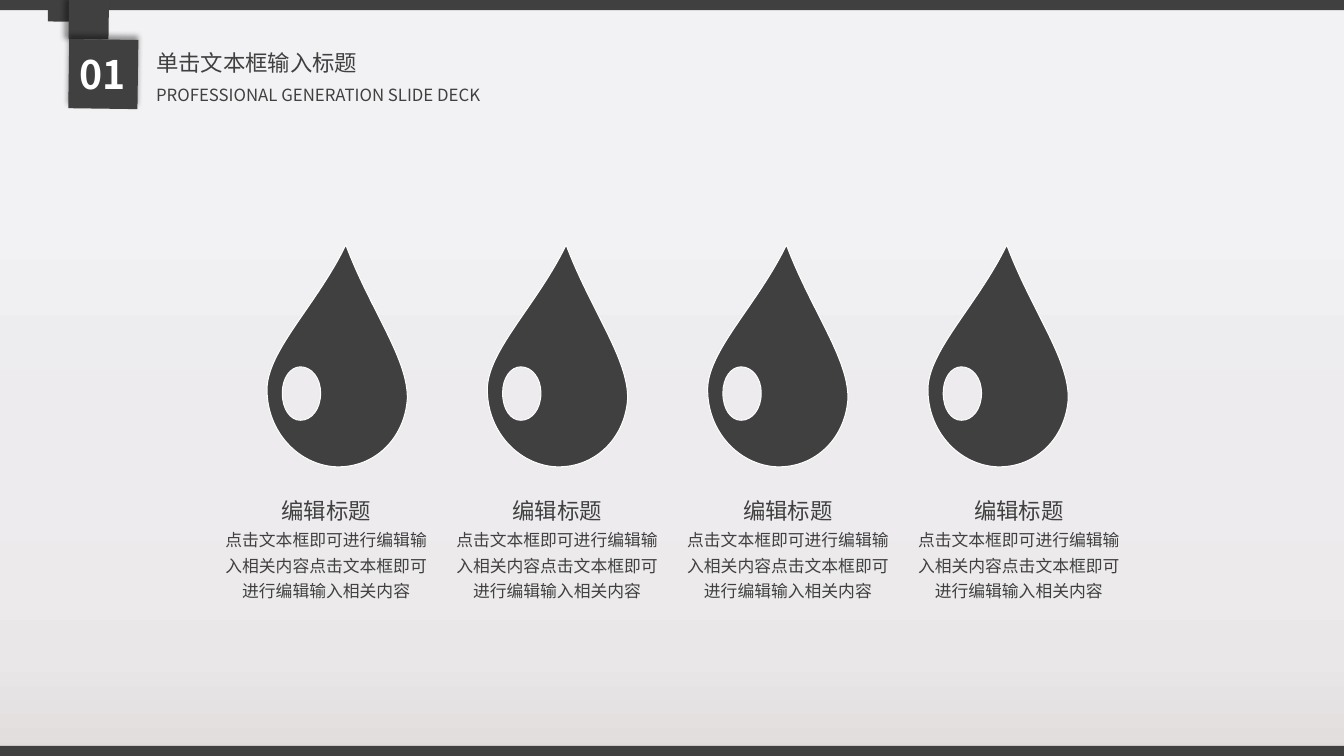
from dataclasses import dataclass

from lxml import etree
from pptx import Presentation
from pptx import util as u
from pptx.dml.color import RGBColor
from pptx.enum import shapes, text
from pptx.oxml.ns import qn


@dataclass(frozen=True)
class Theme:
    dark: str = "404040"
    white: str = "FFFFFF"
    shadow: str = "000000"
    font: str = "Noto Sans CJK SC"
    number: int = 28
    heading: int = 16
    body: int = 12
    # Background stops: percent from the bottom edge, colour
    gradient: tuple = ((0, "E0DCDB"), (13, "E9E7E8"), (23, "ECEAEB"),
                       (34, "EDEBEE"), (51, "EDEDEF"), (73, "F2F2F4"))


# Drop contours in inches: a start point, then three points per Bezier curve
DROP = [
    [(3.43, 2.43), (3.15, 3.01), (2.68, 3.45), (2.65, 3.83),
     (2.63, 4.24), (2.92, 4.59), (3.3, 4.63),
     (3.69, 4.66), (4.01, 4.37), (4.04, 3.96),
     (4.05, 3.56), (3.67, 3.07), (3.43, 2.43)],
    [(2.98, 4.17), (2.88, 4.17), (2.8, 4.06), (2.8, 3.9),
     (2.8, 3.75), (2.88, 3.64), (2.98, 3.64),
     (3.09, 3.64), (3.18, 3.75), (3.18, 3.9),
     (3.18, 4.06), (3.09, 4.17), (2.98, 4.17)],
]
DROP_STEP = 2.185
TEXT_STEP = 2.29


def sub(parent, tag, **attrs):
    return etree.SubElement(parent, qn(tag), {k: str(v) for k, v in attrs.items()})


class Builder:
    def __init__(self, slide, theme):
        self.s = slide
        self.t = theme

    def background(self):
        fill = self.s.background.fill
        fill.gradient()
        grad = self.s.background._cSld.find(".//" + qn("a:gradFill"))
        for child in list(grad):
            grad.remove(child)
        stops = sub(grad, "a:gsLst")
        for pos, color in self.t.gradient:
            sub(sub(stops, "a:gs", pos=pos * 1000), "a:srgbClr", val=color)
        sub(grad, "a:lin", ang=270 * 60000, scaled=0)

    def paint(self, sp, line=None):
        sp.shadow.inherit = False
        sp.fill.solid()
        sp.fill.fore_color.rgb = RGBColor.from_string(self.t.dark)
        if line:
            sp.line.color.rgb = RGBColor.from_string(line)
            sp.line.width = u.Pt(0.75)
        else:
            sp.line.fill.background()

    def shape(self, kind, box, rotation=0, shadow_dir=None, parent=None):
        sp = (parent or self.s).shapes.add_shape(kind, *map(u.Inches, box))
        sp.rotation = rotation
        self.paint(sp)
        if shadow_dir is not None:
            effects = sp._element.spPr.find(qn("a:effectLst"))
            shadow = sub(effects, "a:outerShdw", blurRad=u.Pt(4), dist=u.Pt(3),
                         dir=shadow_dir * 60000, algn="ctr", rotWithShape=0)
            sub(sub(shadow, "a:srgbClr", val=self.t.shadow), "a:alpha", val=40000)
        return sp

    def drop(self, dx):
        contours = [[(u.Inches(x + dx), u.Inches(y)) for x, y in c] for c in DROP]
        fb = self.s.shapes.build_freeform(*contours[0][0])
        for i, (start, *points) in enumerate(contours):
            if i:
                fb.move_to(*start)
            fb.add_line_segments(points, close=True)
        sp = fb.convert_to_shape()
        # Join every three line ends into one Bezier curve
        lines = list(sp._element.iter(qn("a:lnTo")))
        for i in range(0, len(lines), 3):
            curve = etree.Element(qn("a:cubicBezTo"))
            lines[i].addprevious(curve)
            for ln in lines[i:i + 3]:
                curve.append(ln[0])
                ln.getparent().remove(ln)
        self.paint(sp, self.t.white)

    def text(self, box, words, size, color=None, bold=False, wrap=True, **para):
        tf = self.s.shapes.add_textbox(*map(u.Inches, box)).text_frame
        tf.word_wrap = wrap
        tf.auto_size = text.MSO_AUTO_SIZE.SHAPE_TO_FIT_TEXT
        p = tf.paragraphs[0]
        for name, value in para.items():
            setattr(p, name, value)
        r = p.add_run()
        r.text = words
        for name, value in dict(name=self.t.font, size=u.Pt(size), bold=bold).items():
            setattr(r.font, name, value)
        r.font.color.rgb = RGBColor.from_string(color or self.t.dark)
        sub(r._r.get_or_add_rPr(), "a:ea", typeface=self.t.font)


def main():
    prs = Presentation()
    prs.slide_width, prs.slide_height = u.Inches(13.33), u.Inches(7.5)
    theme = Theme()
    b = Builder(prs.slides.add_slide(prs.slide_layouts[6]), theme)
    center = text.PP_ALIGN.CENTER
    b.background()

    # Top and bottom bars
    for top in (0, 7.4):
        b.shape(shapes.MSO_SHAPE.RECTANGLE, (0, top, 13.33, 0.1))

    # Folded number tag
    tag = b.s.shapes.add_group_shape()
    for x, y, size, rotation, shadow_dir in ((0.43, -0.05, 0.31, 45.8, None),
                                             (0.6, -0.09, 0.56, 135.8, 180),
                                             (0.54, 0.25, 0.97, 315.8, 270)):
        b.shape(shapes.MSO_SHAPE.DIAMOND, (x, y, size, size), rotation, shadow_dir, tag)
    b.text((0.66, 0.45, 0.72, 0.57), "01", theme.number, theme.white, True,
           alignment=center)

    # Slide title
    b.text((1.45, 0.31, 2.22, 0.46), "单击文本框输入标题", theme.heading,
           wrap=False, line_spacing=1.5)
    b.text((1.45, 0.79, 4.64, 0.3), "PROFESSIONAL GENERATION SLIDE DECK", theme.body)

    # Four drops with captions
    for i in range(4):
        b.drop(i * DROP_STEP)
        x = 2.09 + i * TEXT_STEP
        b.text((x, 5.16, 2.29, 0.86), "点击文本框即可进行编辑输入相关内容" * 2,
               theme.body, alignment=center, line_spacing=1.25)
        b.text((x + 0.44, 4.88, 1.41, 0.37), "编辑标题", theme.heading,
               alignment=center)

    prs.save("out.pptx")


if __name__ == "__main__":
    main()
